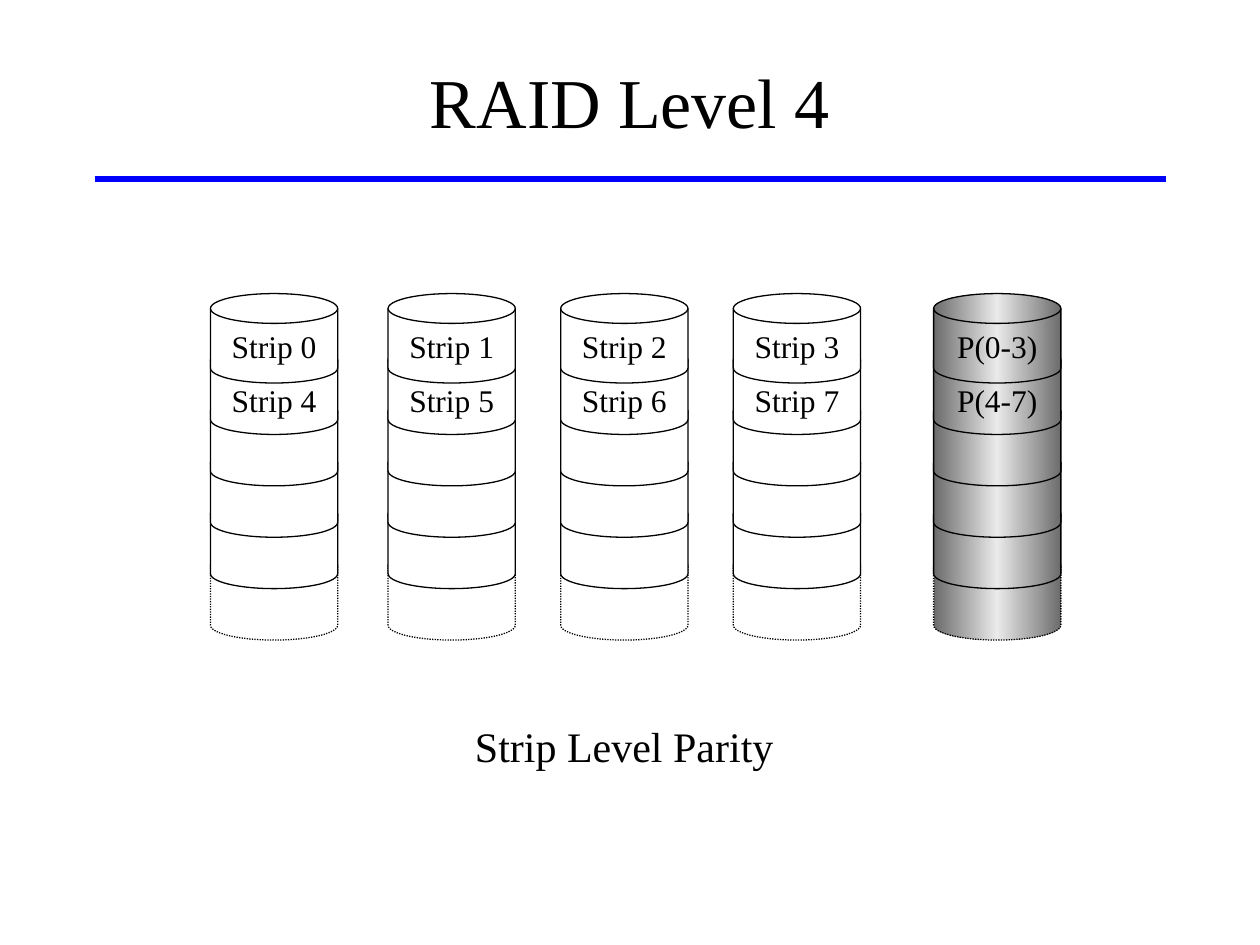
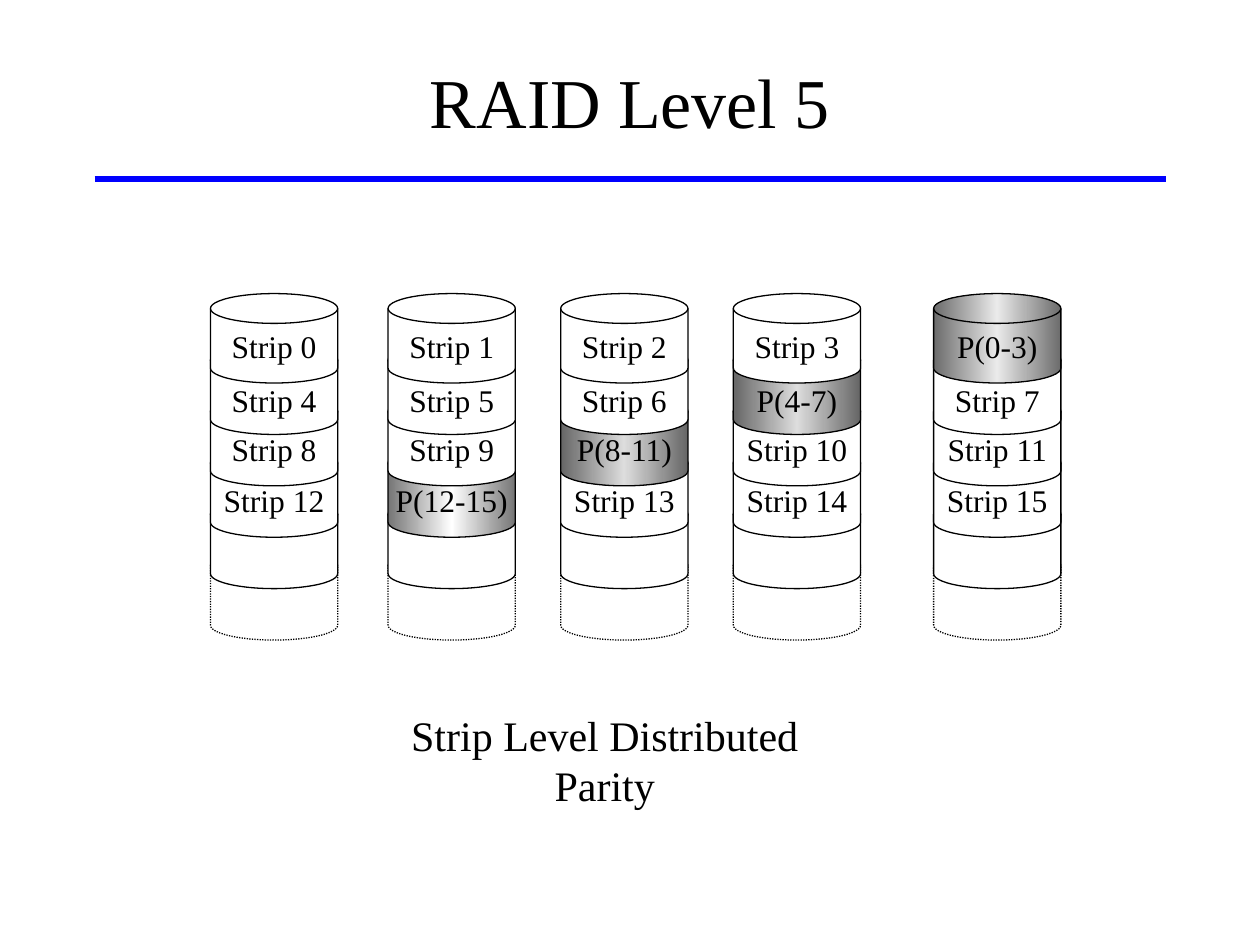
import pptx
import pptx.dml.color
import pptx.enum.dml
import pptx.enum.shapes
import pptx.enum.text
import pptx.oxml
import pptx.oxml.ns
import pptx.util

Inches = pptx.util.Inches
ANCHOR = pptx.enum.text.MSO_ANCHOR

COLOURS = {
    "text": "000000",
    "outline": "000000",
    "rule": "0000FF",
    "data": "FFFFFF",
    "parity": "EAEAEA",
    "parity_dim": "DDDDDD",
    "parity_bright": "FFFFFF",
}
FONT = "Times New Roman"

# Disk array geometry, in inches
DISK_LEFTS = [1.67, 3.08, 4.45, 5.82, 7.41]
FIRST_TOP, LAST_TOP = 2.33, 4.37
ROWS = 6
SEGMENT_WIDTH, SEGMENT_HEIGHT = 1.01, 0.71
DATA_DISKS = len(DISK_LEFTS) - 1


def colour(name):
    return pptx.dml.color.RGBColor.from_string(COLOURS[name])


class Deck:
    def __init__(self):
        self.presentation = pptx.Presentation()
        self.presentation.slide_width = Inches(10)
        self.presentation.slide_height = Inches(7.5)
        self.slide = None

    def new_slide(self, title):
        """Start a slide with the shared title and the rule below it."""
        self.slide = self.presentation.slides.add_slide(self.presentation.slide_layouts[6])
        self.rule(0.75, 9.25, 1.42)
        self.text_box(title, 0.75, 0.17, 8.5, 1.25, 40, ANCHOR.MIDDLE)

    def rule(self, left, right, top):
        line = self.slide.shapes.add_connector(
            pptx.enum.shapes.MSO_CONNECTOR.STRAIGHT,
            Inches(left), Inches(top), Inches(right), Inches(top))
        line.line.color.rgb = colour("rule")
        line.line.width = pptx.util.Pt(3)
        line._element.spPr.append(pptx.oxml.parse_xml(
            f"<a:effectLst {pptx.oxml.ns.nsdecls('a')}/>"))

    def set_text(self, shape, text, size, anchor, wrap):
        frame = shape.text_frame
        for name, value in {"word_wrap": wrap, "vertical_anchor": anchor}.items():
            setattr(frame, name, value)
        paragraph = frame.paragraphs[0]
        paragraph.alignment = pptx.enum.text.PP_ALIGN.CENTER
        run = paragraph.add_run()
        run.text = text
        for name, value in {"name": FONT, "size": pptx.util.Pt(size)}.items():
            setattr(run.font, name, value)
        run.font.color.rgb = colour("text")

    def text_box(self, text, left, top, width, height, size, anchor=ANCHOR.TOP):
        box = self.slide.shapes.add_textbox(
            Inches(left), Inches(top), Inches(width), Inches(height))
        self.set_text(box, text, size, anchor, wrap=True)

    def shade(self, shape, name):
        """Fill with a horizontal gradient, darker at both edges."""
        base = COLOURS[name]
        darker = '<a:gamma/><a:shade val="46275"/><a:invGamma/>'
        stops = "".join(
            f'<a:gs pos="{position}"><a:srgbClr val="{base}">{change}</a:srgbClr></a:gs>'
            for position, change in [(0, darker), (50000, ""), (100000, darker)])
        gradient = pptx.oxml.parse_xml(
            f"<a:gradFill {pptx.oxml.ns.nsdecls('a')} rotWithShape=\"1\">"
            f'<a:gsLst>{stops}</a:gsLst><a:lin ang="0" scaled="1"/></a:gradFill>')
        shape._element.spPr.find(pptx.oxml.ns.qn("a:prstGeom")).addnext(gradient)

    def segment(self, group, left, row, label, fill):
        top = FIRST_TOP + row * (LAST_TOP - FIRST_TOP) / (ROWS - 1)
        shape = group.shapes.add_shape(
            pptx.enum.shapes.MSO_SHAPE.FLOWCHART_MAGNETIC_DISK,
            Inches(left), Inches(top), Inches(SEGMENT_WIDTH), Inches(SEGMENT_HEIGHT))
        shape.shadow.inherit = False
        if fill == "data":
            shape.fill.solid()
            shape.fill.fore_color.rgb = colour(fill)
        else:
            self.shade(shape, fill)
        shape.line.color.rgb = colour("outline")
        shape.line.width = pptx.util.Pt(0.75)
        if row == ROWS - 1:
            shape.line.dash_style = pptx.enum.dml.MSO_LINE.ROUND_DOT
        if label:
            anchor = ANCHOR.TOP if row == 1 else ANCHOR.MIDDLE
            self.set_text(shape, label, 18, anchor, wrap=False)

    def disk_array(self, labels, parity_fills):
        """Draw each disk as a group, stacked from the bottom segment up."""
        for disk, left in enumerate(DISK_LEFTS):
            group = self.slide.shapes.add_group_shape()
            for row in reversed(range(ROWS)):
                label = labels[row][disk] if row < len(labels) else ""
                self.segment(group, left, row, label, parity_fills.get((row, disk), "data"))


def strip_labels(parity_disks):
    """Number the strips row by row, with a parity label on the given disk."""
    rows = []
    for row, parity_disk in enumerate(parity_disks):
        first = row * DATA_DISKS
        labels = [f"Strip {first + index}" for index in range(DATA_DISKS)]
        labels.insert(parity_disk, f"P({first}-{first + DATA_DISKS - 1})")
        rows.append(labels)
    return rows


deck = Deck()

# RAID 4: one disk holds all the parity
deck.new_slide("RAID Level 4")
deck.disk_array(strip_labels([4, 4]), {(row, 4): "parity" for row in range(ROWS)})
deck.text_box("Strip Level Parity", 3.67, 5.67, 2.57, 0.5, 24)

# RAID 5: parity moves one disk to the left on each row
deck.new_slide("RAID Level 5")
parity_disks = [4, 3, 2, 1]
row_fills = ["parity", "parity_dim", "parity_dim", "parity_bright"]
deck.disk_array(strip_labels(parity_disks),
                dict(zip(enumerate(parity_disks), row_fills)))
deck.text_box("Strip Level Distributed Parity", 3.12, 5.58, 3.36, 0.9, 24)

deck.presentation.save("out.pptx")
